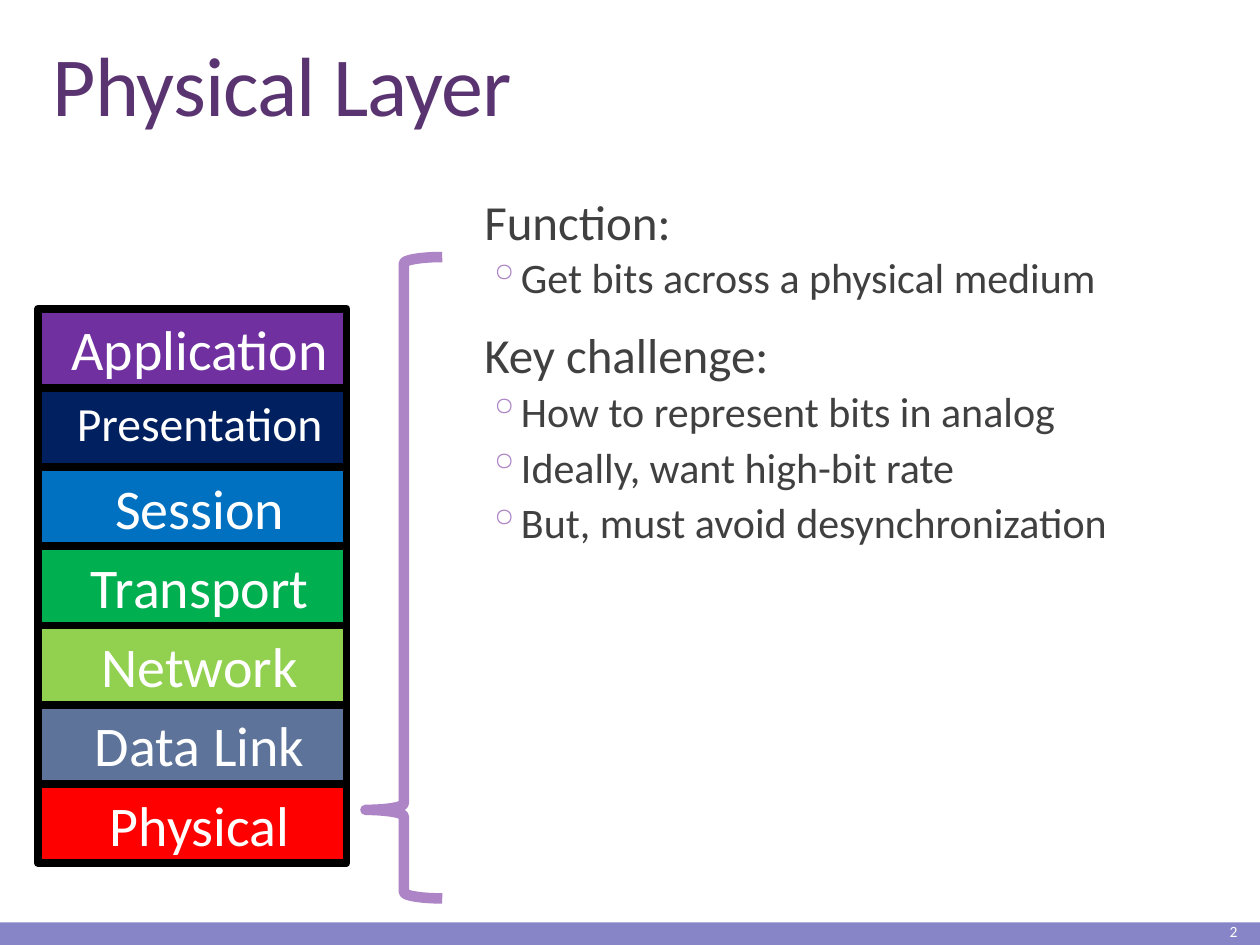
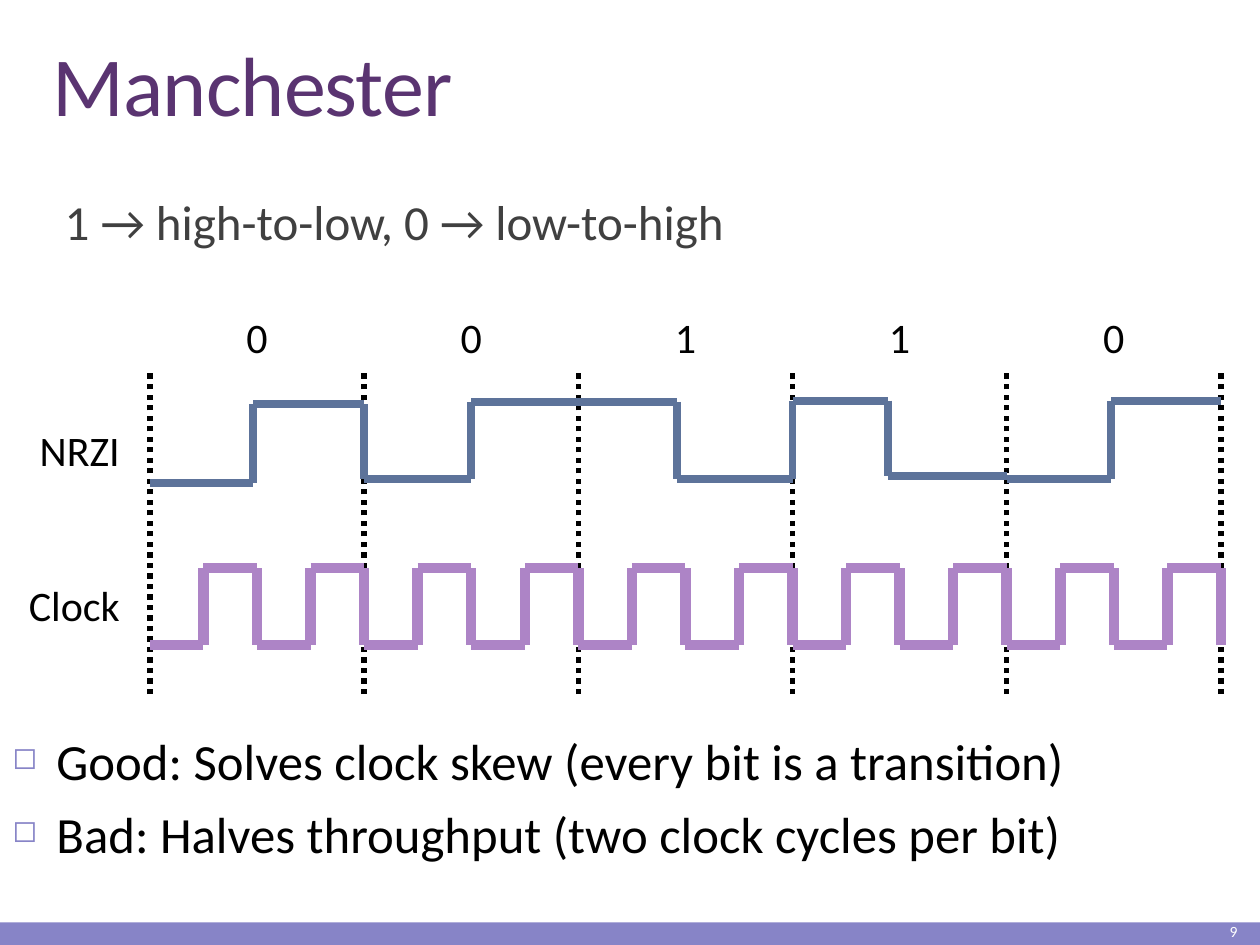
"""Builds two slides on the physical layer: the layer stack and Manchester coding."""
from lxml import etree
from pptx import Presentation
from pptx.dml.color import RGBColor
from pptx.enum.dml import MSO_LINE
from pptx.enum.shapes import MSO_CONNECTOR, MSO_SHAPE
from pptx.enum.text import MSO_ANCHOR, PP_ALIGN
from pptx.oxml.ns import qn
from pptx.util import Inches, Pt

LEFT, CENTER, RIGHT = PP_ALIGN.LEFT, PP_ALIGN.CENTER, PP_ALIGN.RIGHT
TOP, MIDDLE, BOTTOM = MSO_ANCHOR.TOP, MSO_ANCHOR.MIDDLE, MSO_ANCHOR.BOTTOM
RECT, BRACE = MSO_SHAPE.RECTANGLE, MSO_SHAPE.LEFT_BRACE
STRAIGHT, DOTTED = MSO_CONNECTOR.STRAIGHT, MSO_LINE.ROUND_DOT

FONT = "Calibri"
BLACK = RGBColor(0x00, 0x00, 0x00)
WHITE = RGBColor(0xFF, 0xFF, 0xFF)
PLUM = RGBColor(0x5A, 0x34, 0x71)
GREY = RGBColor(0x40, 0x40, 0x40)
LILAC = RGBColor(0xAD, 0x84, 0xC6)
BAND = RGBColor(0x87, 0x84, 0xC7)
SLATE = RGBColor(0x5D, 0x73, 0x9A)
PURPLE = RGBColor(0x70, 0x30, 0xA0)
NAVY = RGBColor(0x00, 0x20, 0x60)
BLUE = RGBColor(0x00, 0x70, 0xC0)
GREEN = RGBColor(0x00, 0xB0, 0x50)
LIME = RGBColor(0x92, 0xD0, 0x50)
RED = RGBColor(0xFF, 0x00, 0x00)

W, H = 10, 7.5
MARGIN, BODY_TOP, BODY_W, BODY_H = 0.32, 1.52, 9.48, 5.24

HEAD = dict(size=28, color=GREY, before=12, after=2, spacing=0.9,
            margin=0.1, indent=-0.1, bullet=" ", bullet_color=LILAC)
SUB = dict(size=24, color=GREY, before=2, after=4, spacing=0.9,
           margin=0.42, indent=-0.2, bullet="\u25e6", bullet_color=LILAC)
NOTE = dict(size=29, color=BLACK, before=7, after=0, spacing=1.0,
            margin=0.35, indent=-0.35, bullet="\u25fb", bullet_color=BAND,
            bullet_pct=60)

PHYSICAL = [
    ("Function:", HEAD),
    ("Get bits across a physical medium", SUB),
    ("Key challenge:", HEAD),
    ("How to represent bits in analog", SUB),
    ("Ideally, want high-bit rate", SUB),
    ("But, must avoid desynchronization", SUB),
]
LAYERS = [
    ("Application", PURPLE, 32),
    ("Presentation", NAVY, 27.2),
    ("Session", BLUE, 32),
    ("Transport", GREEN, 32),
    ("Network", LIME, 32),
    ("Data Link", SLATE, 32),
    ("Physical", RED, 32),
]
RULE = [("1 \u2192 high-to-low, 0 \u2192 low-to-high", HEAD)]
VERDICT = [
    ("Good: Solves clock skew (every bit is a transition)", NOTE),
    ("Bad: Halves throughput (two clock cycles per bit)", NOTE),
]
BITS = [
    ("0", 2.01, 3.83, 3.21),
    ("0", 3.74, 3.8, 3.19),
    ("1", 5.37, 3.8, 3.19),
    ("1", 7.05, 3.78, 3.18),
    ("0", 8.82, 3.8, 3.18),
]
SIGNALS = [("NRZI", 3.32), ("Clock", 4.55)]
GRID_LEFT, BIT_W, GRID_TOP, GRID_BOTTOM = 1.19, 1.7, 2.93, 5.51
CLOCK_LOW, CLOCK_HIGH, CYCLES_PER_BIT = 5.12, 4.51, 2


def box(*at):
    return [Inches(v) for v in at]


def style(p, size, color):
    for r in p.runs:
        r.font.name, r.font.size, r.font.color.rgb = FONT, Pt(size), color


def add_text(s, at, text, size, color, align=LEFT, anchor=TOP, wrap=True):
    tf = s.shapes.add_textbox(*box(*at)).text_frame
    tf.text, tf.word_wrap, tf.vertical_anchor = text, wrap, anchor
    p = tf.paragraphs[0]
    p.alignment = align
    style(p, size, color)
    return p


def add_bullet(p, look):
    pPr = p._p.get_or_add_pPr()
    pPr.set("marL", str(Inches(look["margin"])))
    pPr.set("indent", str(Inches(look["indent"])))
    clr = etree.SubElement(pPr, qn("a:buClr"))
    etree.SubElement(clr, qn("a:srgbClr")).set("val", str(look["bullet_color"]))
    pct = look.get("bullet_pct", 100)
    etree.SubElement(pPr, qn("a:buSzPct")).set("val", str(pct * 1000))
    etree.SubElement(pPr, qn("a:buChar")).set("char", look["bullet"])


def add_list(s, at, items, side_inset=0):
    tf = s.shapes.add_textbox(*box(*at)).text_frame
    tf.word_wrap = True
    tf.margin_left = tf.margin_right = Inches(side_inset)
    for i, (text, look) in enumerate(items):
        p = tf.add_paragraph() if i else tf.paragraphs[0]
        p.text = text
        p.line_spacing = look["spacing"]
        p.space_before, p.space_after = Pt(look["before"]), Pt(look["after"])
        add_bullet(p, look)
        style(p, look["size"], look["color"])


def add_shape(s, kind, at, fill=None, line=None, width=0):
    sp = s.shapes.add_shape(kind, *box(*at))
    sp.shadow.inherit = False
    if fill is None:
        sp.fill.background()
    else:
        sp.fill.solid()
        sp.fill.fore_color.rgb = fill
    if line is None:
        sp.line.fill.background()
    else:
        sp.line.color.rgb, sp.line.width = line, Pt(width)
    return sp


def add_line(s, start, end, color, width, dash=None):
    c = s.shapes.add_connector(STRAIGHT, *box(*start, *end))
    c.line.color.rgb, c.line.width = color, Pt(width)
    if dash:
        c.line.dash_style = dash
    etree.SubElement(c._element.spPr, qn("a:effectLst"))


def add_wave(s, points, color, width):
    for start, end in zip(points, points[1:]):
        if start != end:
            add_line(s, start, end, color, width)


def new_slide(prs, title, number):
    s = prs.slides.add_slide(prs.slide_layouts[6])
    add_shape(s, RECT, (0, 7.32, W, 0.18), BAND)
    p = add_text(s, (MARGIN, 0.31, BODY_W, 0.8), title, 48, PLUM, anchor=BOTTOM)
    p.line_spacing = 0.85
    p.runs[0]._r.get_or_add_rPr().set("spc", "-50")
    add_text(s, (8.84, 7.28, 1.08, 0.22), number, 8.9, WHITE, RIGHT, MIDDLE)
    return s


def build_physical(prs):
    s = new_slide(prs, "Physical Layer", "2")
    add_list(s, (3.65, BODY_TOP, 6.15, BODY_H), PHYSICAL)
    row_h = 4.4 / len(LAYERS)
    for i, (name, fill, size) in enumerate(LAYERS):
        sp = add_shape(s, RECT, (0.3, 2.45 + i * row_h, 2.45, row_h), fill, BLACK, 4.5)
        tf = sp.text_frame
        tf.text, tf.vertical_anchor = name, TOP
        p = tf.paragraphs[0]
        p.alignment = CENTER
        p._p.get_or_add_pPr().set("marL", str(Inches(0.12)))
        style(p, size, WHITE)
    brace = add_shape(s, BRACE, (2.9, 2.04, 0.61, 5.09), line=LILAC, width=6)
    brace.adjustments[0], brace.adjustments[1] = 0.083, 0.862


def build_manchester(prs):
    s = new_slide(prs, "Manchester", "9")
    add_list(s, (MARGIN, BODY_TOP, BODY_W, BODY_H), RULE)
    edges = [GRID_LEFT + i * BIT_W for i in range(len(BITS) + 1)]
    for x in edges:
        add_line(s, (x, GRID_BOTTOM), (x, GRID_TOP), BLACK, 3, DOTTED)

    cycle = BIT_W / CYCLES_PER_BIT
    clock = []
    for i in range(len(BITS) * CYCLES_PER_BIT):
        x = GRID_LEFT + i * cycle
        mid, end = x + cycle / 2, x + cycle
        clock += [(x, CLOCK_LOW), (mid, CLOCK_LOW), (mid, CLOCK_HIGH),
                  (end, CLOCK_HIGH)]
    clock.append((edges[-1], CLOCK_LOW))
    add_wave(s, clock, LILAC, 6)

    signal = []
    for (bit, mid, low, high), x, end in zip(BITS, edges, edges[1:]):
        first, second = (high, low) if bit == "1" else (low, high)
        signal += [(x, first), (mid, first), (mid, second), (end, second)]
        add_text(s, ((x + end) / 2 - 0.2, 2.42, 0.4, 0.5), bit, 24, BLACK,
                 CENTER, wrap=False)
    add_wave(s, signal, SLATE, 4.5)

    for name, top in SIGNALS:
        add_text(s, (0.12, top, 0.93, 0.5), name, 24, BLACK, RIGHT, wrap=False)
    add_list(s, (0, 5.74, W, 1.47), VERDICT, 0.1)


prs = Presentation()
prs.slide_width, prs.slide_height = Inches(W), Inches(H)
build_physical(prs)
build_manchester(prs)
prs.save("out.pptx")
